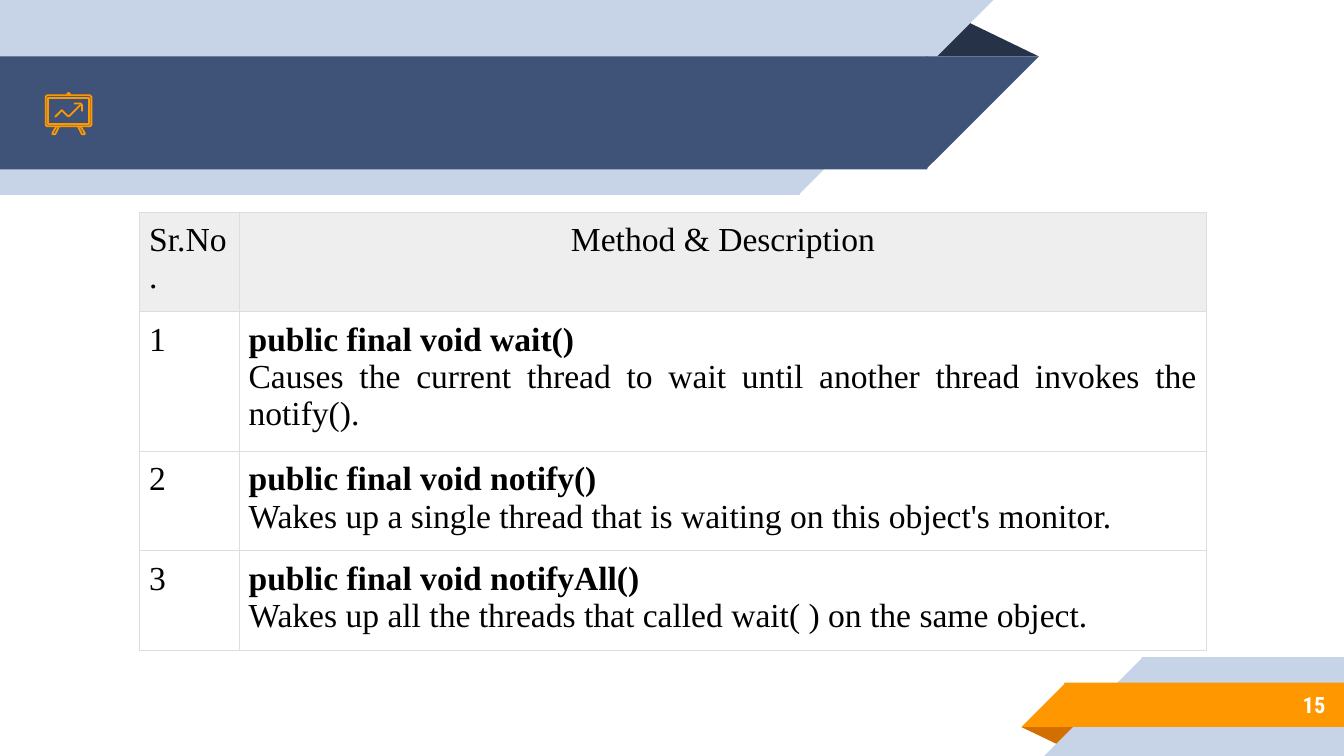
from dataclasses import dataclass

from lxml.etree import SubElement
from pptx import Presentation
from pptx.dml.color import RGBColor
from pptx.enum.shapes import MSO_SHAPE
from pptx.enum.text import MSO_ANCHOR, PP_ALIGN
from pptx.oxml.ns import qn
from pptx.util import Inches, Pt

PALE = RGBColor(0xC7, 0xD3, 0xE6)
NAVY = RGBColor(0x3F, 0x53, 0x78)
DARK = RGBColor(0x26, 0x32, 0x48)
ORANGE = RGBColor(0xFF, 0x98, 0x00)
RUST = RGBColor(0xD2, 0x6F, 0x00)
WHITE = RGBColor(0xFF, 0xFF, 0xFF)
BLACK = RGBColor(0x00, 0x00, 0x00)
HEADER = RGBColor(0xEE, 0xEE, 0xEE)
BORDER = RGBColor(0xDD, 0xDD, 0xDD)

prs = Presentation()
prs.slide_width = Inches(10)
prs.slide_height = prs.slide_width * 9 // 16
CELL = prs.slide_width / 100
OVERLAP = 0.1


@dataclass
class Ribbon:
    left: float
    top: float
    body: float
    height: float
    color: RGBColor
    tip_left: bool = False


@dataclass
class Fold:
    left: float
    top: float
    width: float
    height: float
    color: RGBColor
    rotation: int = 0


@dataclass
class Stroke:
    points: list[tuple[float, float]]
    closed: bool = False


@dataclass
class Method:
    number: str
    signature: str
    description: str


HEADING_FOLD = Fold(68.8, 1.4, 8.5, 2.8, DARK)
HEADING_RIBBONS = [Ribbon(0, 0, 59.4, 14.5, PALE), Ribbon(0, 4.2, 68.9, 8.4, NAVY)]
FOOTER_FOLD = Fold(76, 54.1, 4.3, 1.4, RUST, 180)
FOOTER_RIBBONS = [Ribbon(77.7, 48.9, 15, 7.35, PALE, True),
                  Ribbon(76, 50.8, 20.7, 3.3, ORANGE, True)]

BOARD_ICON = [
    Stroke([(3.5, 7.1), (6.7, 7.1), (6.8, 7.2), (6.8, 9.3), (6.7, 9.4),
            (3.5, 9.4), (3.4, 9.3), (3.4, 7.2)], True),
    Stroke([(5.2, 7.1), (5.2, 7), (5.1, 6.9), (5, 7), (5, 7.1)]),
    Stroke([(4.2, 9.4), (3.9, 9.9), (3.9, 10), (4, 10), (4.1, 10), (4.4, 9.4)]),
    Stroke([(5.8, 9.4), (6.1, 10), (6.2, 10), (6.3, 10), (6.3, 9.9), (6, 9.4)]),
    Stroke([(3.6, 7.3), (3.6, 9.2), (6.6, 9.2), (6.6, 7.3)], True),
    Stroke([(6, 7.8), (5.2, 8.6), (5.1, 8.65), (5, 8.6), (4.6, 8.2), (4.1, 8.7)]),
    Stroke([(5.5, 7.7), (6, 7.7), (6.1, 7.8), (6.1, 8.3)]),
]

METHODS = [
    Method("1", "public final void wait()",
           "Causes the current thread to wait until another thread invokes the notify()."),
    Method("2", "public final void notify()",
           "Wakes up a single thread that is waiting on this object's monitor."),
    Method("3", "public final void notifyAll()",
           "Wakes up all the threads that called wait( ) on the same object."),
]


def grid(*values: float) -> list[int]:
    return [round(v * CELL) for v in values]


def add_text(p, text: str, *, size=18, font="Times New Roman", color=BLACK,
             bold=False, align=PP_ALIGN.LEFT) -> None:
    p.alignment = align
    r = p.add_run()
    r.text = text
    r.font.size, r.font.name, r.font.bold = Pt(size), font, bold
    r.font.color.rgb = color


def set_margins(box, size: float) -> None:
    box.margin_left = box.margin_right = box.margin_top = box.margin_bottom = Inches(size)


def add_filled(s, kind: MSO_SHAPE, left: float, top: float, width: float,
               height: float, color: RGBColor):
    sp = s.shapes.add_shape(kind, *grid(left, top, width, height))
    sp.shadow.inherit = False
    sp.fill.solid()
    sp.fill.fore_color.rgb = color
    sp.line.fill.background()
    return sp


def draw_fold(s, fold: Fold) -> None:
    sp = add_filled(s, MSO_SHAPE.ISOSCELES_TRIANGLE, fold.left, fold.top,
                    fold.width, fold.height, fold.color)
    sp.adjustments[0] = 0.32
    sp.rotation = fold.rotation


def draw_ribbon(s, rb: Ribbon) -> None:
    body_left = rb.left + rb.height - OVERLAP if rb.tip_left else rb.left
    tip_left = rb.left if rb.tip_left else rb.left + rb.body
    add_filled(s, MSO_SHAPE.RECTANGLE, body_left, rb.top, rb.body + OVERLAP,
               rb.height, rb.color)
    tip = add_filled(s, MSO_SHAPE.RIGHT_TRIANGLE, tip_left, rb.top,
                     rb.height, rb.height, rb.color)
    tip.rotation = 0 if rb.tip_left else 180
    tip._element.spPr.find(qn("a:xfrm")).set("flipH", "1")


def draw_stroke(s, stroke: Stroke) -> None:
    start, *rest = [tuple(grid(x, y)) for x, y in stroke.points]
    builder = s.shapes.build_freeform(*start)
    builder.add_line_segments(rest, close=stroke.closed)
    sp = builder.convert_to_shape()
    sp.shadow.inherit = False
    sp.fill.background()
    sp.line.color.rgb = ORANGE
    sp.line.width = Pt(0.96)


def format_cell(cell, fill: RGBColor | None = None) -> None:
    set_margins(cell, 0.07)
    tcPr = cell._tc.get_or_add_tcPr()
    for side in ("lnL", "lnR", "lnT", "lnB"):
        ln = SubElement(tcPr, qn(f"a:{side}"), w=str(Pt(0.6)))
        SubElement(SubElement(ln, qn("a:solidFill")), qn("a:srgbClr"), val=str(BORDER))
    if fill is None:
        cell.fill.background()
    else:
        cell.fill.solid()
        cell.fill.fore_color.rgb = fill


def draw_methods(s, methods: list[Method]) -> None:
    table = s.shapes.add_table(len(methods) + 1, 2, *grid(10.4, 15.8, 79.4, 32.3)).table
    table.first_row = table.horz_banding = False
    for column, width in zip(table.columns, grid(7.4, 72)):
        column.width = width
    for row in table.rows:
        row.height = 0
    for cell, title, align in zip(table.rows[0].cells, ("Sr.No.", "Method & Description"),
                                  (PP_ALIGN.LEFT, PP_ALIGN.CENTER)):
        format_cell(cell, HEADER)
        add_text(cell.text_frame.paragraphs[0], title, align=align)
    for i, m in enumerate(methods, 1):
        number, detail = table.cell(i, 0), table.cell(i, 1)
        format_cell(number)
        format_cell(detail)
        add_text(number.text_frame.paragraphs[0], m.number)
        tf = detail.text_frame
        add_text(tf.paragraphs[0], m.signature, bold=True, align=PP_ALIGN.JUSTIFY)
        add_text(tf.add_paragraph(), m.description, align=PP_ALIGN.JUSTIFY)


def draw_page_number(s, number: str) -> None:
    tf = s.shapes.add_textbox(*grid(83.3, 50.7, 16.3, 3.5)).text_frame
    tf.word_wrap = True
    tf.vertical_anchor = MSO_ANCHOR.MIDDLE
    set_margins(tf, 0.1)
    add_text(tf.paragraphs[0], number, size=12, font="Roboto Condensed",
             color=WHITE, bold=True, align=PP_ALIGN.RIGHT)


s = prs.slides.add_slide(prs.slide_layouts[6])
for fold, ribbons in ((HEADING_FOLD, HEADING_RIBBONS), (FOOTER_FOLD, FOOTER_RIBBONS)):
    draw_fold(s, fold)
    for ribbon in ribbons:
        draw_ribbon(s, ribbon)
draw_page_number(s, "15")
for stroke in BOARD_ICON:
    draw_stroke(s, stroke)
draw_methods(s, METHODS)
prs.save("out.pptx")
